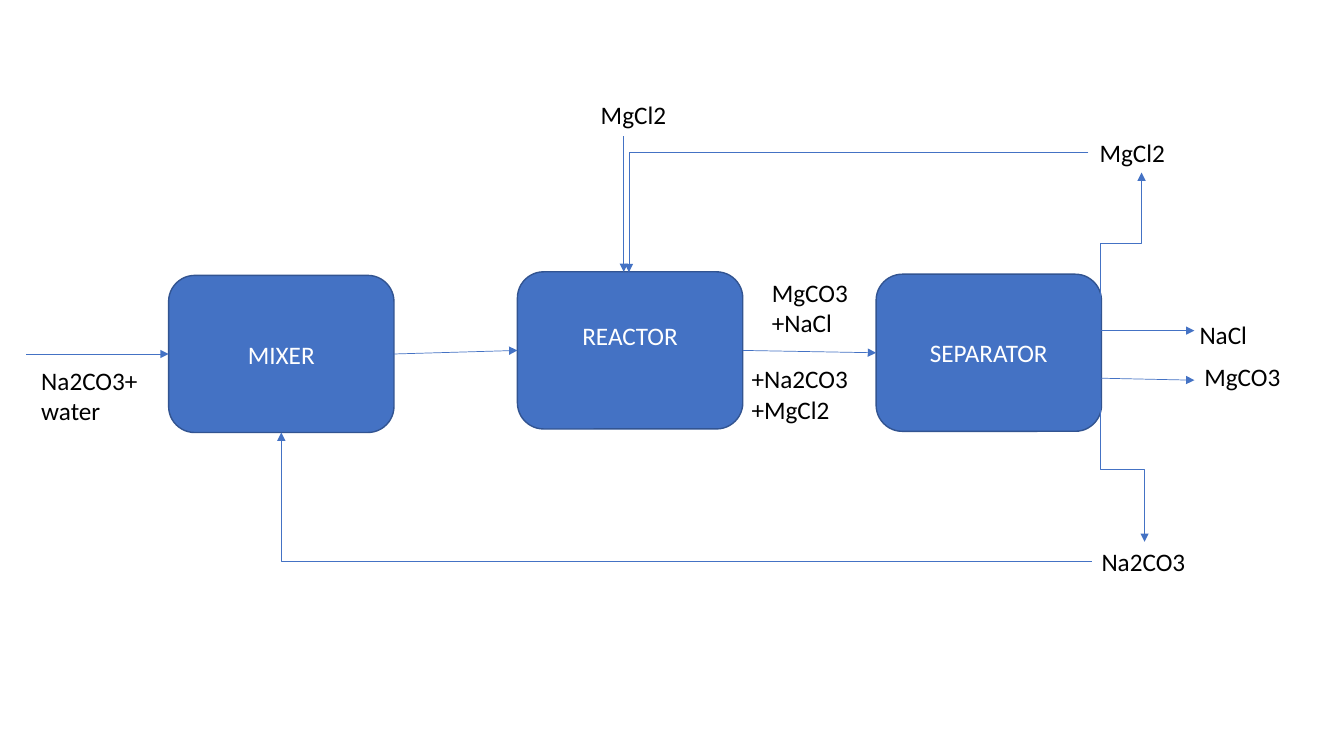
from dataclasses import dataclass

from pptx import Presentation
from pptx.dml.color import RGBColor
from pptx.enum.shapes import MSO_CONNECTOR, MSO_SHAPE
from pptx.enum.text import MSO_ANCHOR, PP_ALIGN
from pptx.oxml.ns import qn
from pptx.util import Cm, Pt
from lxml import etree

ROUND = MSO_SHAPE.ROUNDED_RECTANGLE
STRAIGHT, ELBOW = MSO_CONNECTOR.STRAIGHT, MSO_CONNECTOR.ELBOW
MIDDLE, TOP = MSO_ANCHOR.MIDDLE, MSO_ANCHOR.TOP
CENTER, LEFT = PP_ALIGN.CENTER, PP_ALIGN.LEFT
WEST, EAST = 1, 3


@dataclass
class Theme:
    font: str = "Calibri"
    size: float = 18
    blue: str = "4472C4"
    edge: str = "325491"
    ink: str = "000000"
    white: str = "FFFFFF"
    border: float = 1
    flow: float = 0.5


class Sheet:
    def __init__(self, slide, theme):
        self.shapes = slide.shapes
        self.theme = theme

    def letter(self, shape, text, color, align, anchor):
        frame = shape.text_frame
        frame.text = text
        frame.word_wrap = True
        frame.vertical_anchor = anchor
        for par in frame.paragraphs:
            par.alignment = align
            for run in par.runs:
                run.font.name = self.theme.font
                run.font.size = Pt(self.theme.size)
                run.font.color.rgb = RGBColor.from_string(color)

    def unit(self, text, left, top):
        """Draw one process unit; all share a size."""
        box = self.shapes.add_shape(ROUND, Cm(left), Cm(top), Cm(5.68), Cm(3.96))
        box.shadow.inherit = False
        box.fill.solid()
        box.fill.fore_color.rgb = RGBColor.from_string(self.theme.blue)
        box.line.color.rgb = RGBColor.from_string(self.theme.edge)
        box.line.width = Pt(self.theme.border)
        self.letter(box, text, self.theme.white, CENTER, MIDDLE)
        return box

    def label(self, text, left, top, width, height=1.02):
        box = self.shapes.add_textbox(Cm(left), Cm(top), Cm(width), Cm(height))
        self.letter(box, text, self.theme.ink, LEFT, TOP)

    def style(self, line):
        line.line.color.rgb = RGBColor.from_string(self.theme.blue)
        line.line.width = Pt(self.theme.flow)
        props = line._element.spPr
        etree.SubElement(props.find(qn("a:ln")), qn("a:tailEnd"), type="triangle")
        etree.SubElement(props, qn("a:effectLst"))

    def arrow(self, start=(0, 0), end=(0, 0), source=None, target=None):
        """Draw a straight flow, joined to the sides of any units given."""
        line = self.shapes.add_connector(STRAIGHT, *map(Cm, start + end))
        if source:
            line.begin_connect(source, EAST)
        if target:
            line.end_connect(target, WEST)
        self.style(line)

    def bend(self, left, top, width, height, kind, turn, flips=()):
        """Draw an elbow flow from its unturned frame, turn and flips."""
        line = self.shapes.add_connector(
            ELBOW, Cm(left), Cm(top), Cm(left + width), Cm(top + height))
        props = line._element.spPr
        frame = props.find(qn("a:xfrm"))
        frame.set("rot", str(turn * 60000))
        for flip in flips:
            frame.set(flip, "1")
        props.find(qn("a:prstGeom")).set("prst", kind)
        self.style(line)


def main():
    deck = Presentation()
    deck.slide_width, deck.slide_height = Cm(33.87), Cm(19.05)
    sheet = Sheet(deck.slides.add_slide(deck.slide_layouts[6]), Theme())

    # Process units
    mixer = sheet.unit("MIXER", 4.25, 6.94)
    reactor = sheet.unit("REACTOR", 13.04, 6.85)
    reactor.text_frame.margin_bottom = Cm(0.9)
    splitter = sheet.unit("SEPARATOR", 22.08, 6.91)

    # Main line
    sheet.arrow(start=(0.66, 8.92), target=mixer)
    sheet.arrow(source=mixer, target=reactor)
    sheet.arrow(source=reactor, target=splitter)

    # Fresh feed and products
    sheet.arrow((15.72, 3.43), (15.72, 6.85))
    sheet.arrow((27.74, 8.33), (30.1, 8.33))
    sheet.arrow((27.74, 9.53), (30.1, 9.58))

    # Recycle loops
    sheet.bend(7.09, 10.9, 20.42, 3.25, "bentConnector2", 180)
    sheet.bend(15.85, 3.84, 11.58, 3.02, "bentConnector2", 180, ["flipV"])
    sheet.bend(26.47, 5.61, 3.56, 1.04, "bentConnector3", 90, ["flipH", "flipV"])
    sheet.bend(26.47, 11.28, 3.63, 1.12, "bentConnector3", 270, ["flipH"])

    # Stream labels
    sheet.label("Na2CO3+water", 0.79, 9.07, 3.07, 1.8)
    sheet.label("MgCl2", 14.89, 2.39, 2.31)
    sheet.label("MgCO3+NaCl", 19.2, 6.86, 2.59, 1.8)
    sheet.label("NaCl", 29.98, 7.92, 2.2)
    sheet.label("MgCO3", 30.1, 8.99, 2.67)
    sheet.label("+Na2CO3+MgCl2", 18.69, 9.04, 3.1, 1.8)
    sheet.label("MgCl2", 27.46, 3.33, 2.67)
    sheet.label("Na2CO3", 27.51, 13.64, 2.67)

    deck.save("out.pptx")


if __name__ == "__main__":
    main()
